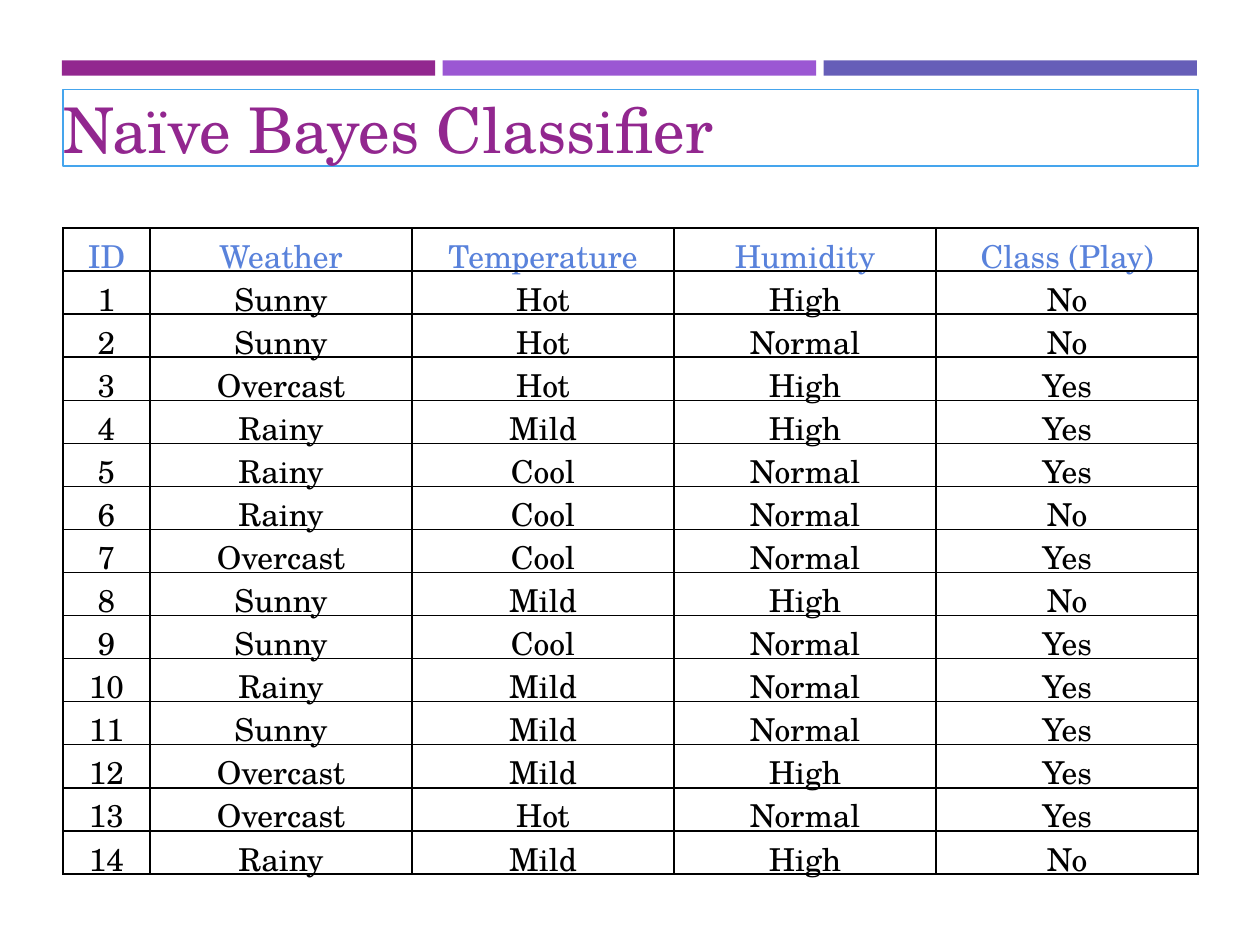
import pptx
import pptx.dml.color
import pptx.enum.shapes
import pptx.enum.text
import pptx.oxml
import pptx.oxml.ns
import pptx.util

Inches = pptx.util.Inches
Pt = pptx.util.Pt
FONT = "TeX Gyre Schola"
PLUM, VIOLET, INDIGO = "92278F", "9B57D3", "665EB8"
SKY, BLUE, BLACK = "45A5ED", "5982DB", "000000"

HEADS = ["ID", "Weather", "Temperature", "Humidity", "Class (Play)"]
DAYS = """\
Sunny Hot High No
Sunny Hot Normal No
Overcast Hot High Yes
Rainy Mild High Yes
Rainy Cool Normal Yes
Rainy Cool Normal No
Overcast Cool Normal Yes
Sunny Mild High No
Sunny Cool Normal Yes
Rainy Mild Normal Yes
Sunny Mild Normal Yes
Overcast Mild High Yes
Overcast Hot Normal Yes
Rainy Mild High No"""


def color(code):
    return pptx.dml.color.RGBColor.from_string(code)


def add_run(para, text, size, code):
    run = para.add_run()
    run.text = text
    run.font.name = FONT
    run.font.size = Pt(size)
    run.font.color.rgb = color(code)


def add_rect(slide, left, top, width, height):
    rect = slide.shapes.add_shape(
        pptx.enum.shapes.MSO_SHAPE.RECTANGLE,
        Inches(left), Inches(top), Inches(width), Inches(height))
    rect.shadow.inherit = False
    return rect


def add_bars(slide, left, top, width, height):
    """Three equal colour bars with even gaps."""
    gap = 0.06
    span = (width - 2 * gap) / 3
    for i, code in enumerate([PLUM, VIOLET, INDIGO]):
        bar = add_rect(slide, left + i * (span + gap), top, span, height)
        bar.fill.solid()
        bar.fill.fore_color.rgb = color(code)
        bar.line.fill.background()


def add_title(slide, left, top, width, height):
    box = add_rect(slide, left, top, width, height)
    box.fill.background()
    box.line.color.rgb = color(SKY)
    box.line.width = Pt(1)
    frame = box.text_frame
    frame.word_wrap = True
    frame.auto_size = pptx.enum.text.MSO_AUTO_SIZE.SHAPE_TO_FIT_TEXT
    frame.vertical_anchor = pptx.enum.text.MSO_ANCHOR.MIDDLE
    frame.margin_left = frame.margin_right = 0
    frame.margin_top = frame.margin_bottom = 0
    para = frame.paragraphs[0]
    para.alignment = pptx.enum.text.PP_ALIGN.LEFT
    add_run(para, "Naïve Bayes Classifier", 36, PLUM)


def add_borders(cell):
    """Black lines on all four sides, placed ahead of the cell's fill."""
    props = cell._tc.get_or_add_tcPr()
    space = pptx.oxml.ns.nsdecls("a")
    for i, side in enumerate(["lnL", "lnR", "lnT", "lnB"]):
        props.insert(i, pptx.oxml.parse_xml(
            f'<a:{side} {space} w="{Pt(1)}"><a:solidFill>'
            f'<a:srgbClr val="{BLACK}"/></a:solidFill></a:{side}>'))


def fill_cell(cell, text, code):
    cell.fill.background()
    add_borders(cell)
    cell.vertical_anchor = pptx.enum.text.MSO_ANCHOR.MIDDLE
    cell.margin_left = cell.margin_right = Inches(0.01)
    cell.margin_top = cell.margin_bottom = Inches(0.01)
    para = cell.text_frame.paragraphs[0]
    para.alignment = pptx.enum.text.PP_ALIGN.CENTER
    para.line_spacing = 1.07
    para.space_after = Pt(8)
    add_run(para, text, 18, code)


def add_days(slide, left, top, width, height):
    """Numbered training days under a blue head row."""
    days = [[str(i), *line.split()]
            for i, line in enumerate(DAYS.splitlines(), 1)]
    rows = [HEADS] + days
    table = slide.shapes.add_table(
        len(rows), len(HEADS), Inches(left), Inches(top),
        Inches(width), Inches(height)).table
    table.first_row = table.horz_banding = False
    first = 0.69
    rest = (width - first) / (len(HEADS) - 1)
    for i, col in enumerate(table.columns):
        col.width = Inches(rest if i else first)
    for r, row in enumerate(rows):
        for c, text in enumerate(row):
            fill_cell(table.cell(r, c), text, BLACK if r else BLUE)


def main():
    deck = pptx.Presentation()
    deck.slide_width, deck.slide_height = Inches(10), Inches(7.5)
    slide = deck.slides.add_slide(deck.slide_layouts[6])
    add_bars(slide, 0.49, 0.48, 9.01, 0.12)
    add_title(slide, 0.5, 0.71, 9.01, 0.61)
    add_days(slide, 0.5, 1.81, 9.01, 5.13)
    deck.save("out.pptx")


if __name__ == "__main__":
    main()
